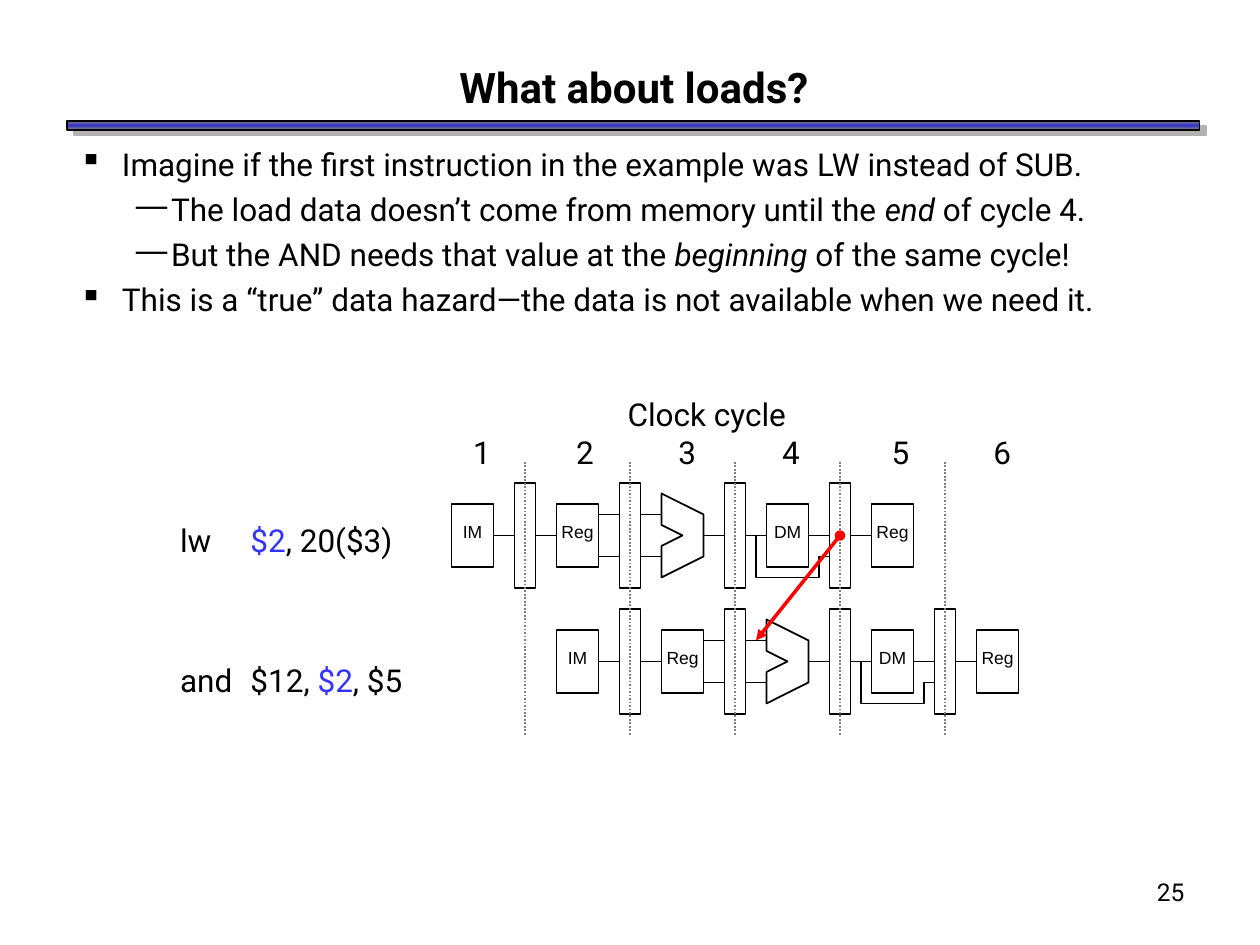
"""Build a slide on the load data hazard with a two-row pipeline diagram."""
from lxml import etree
from pptx import Presentation
from pptx import util as u
from pptx.dml import color
from pptx.enum import dml, shapes, text
from pptx.oxml import ns

BULLETS = [
    (0, ["Imagine if the first instruction in the example was LW instead of SUB."]),
    (1, ["The load data doesn’t come from memory until the ", ("end", {"italic": True}), " of cycle 4."]),
    (1, ["But the AND needs that value at the ", ("beginning", {"italic": True}), " of the same cycle!"]),
    (0, ["This is a “true” data hazard—the data is not available when we need it."]),
]
LEVELS = [("▪", 0.86, -0.86), ("—", 1.85, -0.71)]
BLUE = {"rgb": "3333FF"}
CODE = [
    (1, ["lw\t", ("$2", BLUE), ", 20($3)"]),
    (3.7, ["and\t$12, ", ("$2", BLUE), ", $5"]),
]
CODE_TABS = [1.42]
CYCLES = ["Clock cycle", "\t1\t2\t3\t4\t5\t6"]
CYCLE_TABS = [1.42, 3.5, 5.56, 7.65, 9.86, 11.91, 13.97, 16.18]

GRID = 2.54 / 12
ROWS = [(43, 51), (53, 63)]
STAGES = [("IM", 0), ("Reg", 10), ("DM", 30), ("Reg", 40)]
LATCHES = [6, 16, 26, 36]
WIRES = [(4, 0), (8, 0), (14, -2), (14, 2), (18, -2), (18, 2), (24, 0), (28, 0), (34, 0), (38, 0)]
ALU = [(20, -4), (24, -2), (24, 2), (20, 4), (20, 1), (22, 0), (20, -1)]
BYPASS = [(29, 0), (29, 4), (35, 4), (35, 2), (36, 2)]
DIVIDERS = [50, 60, 70, 80, 90]
HAZARD = [(80, 51), (72, 61)]


def rgb(value):
    return color.RGBColor.from_string(value)


def grid(*values):
    return [u.Cm(v * GRID) for v in values]


def add(parent, tag, **attrs):
    child = etree.SubElement(parent, ns.qn(tag))
    for name, value in attrs.items():
        child.set(name, str(value))
    return child


def write(p, runs, size=18, font="Roboto", rgb_text="000000", bold=False, align="LEFT"):
    p.alignment = getattr(text.PP_ALIGN, align)
    for run in runs:
        content, style = (run, {}) if isinstance(run, str) else run
        r = p.add_run()
        r.text = content
        r.font.size, r.font.name, r.font.bold = u.Pt(size), font, bold
        r.font.italic = style.get("italic", False)
        r.font.color.rgb = rgb(style.get("rgb", rgb_text))


def textbox(s, x, y, w, h, anchor="TOP"):
    tf = s.shapes.add_textbox(*map(u.Cm, (x, y, w, h))).text_frame
    tf.word_wrap = True
    tf.vertical_anchor = getattr(text.MSO_ANCHOR, anchor)
    return tf


def paragraphs(tf, items):
    for i, item in enumerate(items):
        yield (tf.add_paragraph() if i else tf.paragraphs[0]), item


def set_tabs(p, stops):
    tabs = add(p._p.get_or_add_pPr(), "a:tabLst")
    for stop in stops:
        add(tabs, "a:tab", pos=u.Cm(stop), algn="l")


def outline(sp):
    sp.shadow.inherit = False
    sp.fill.background()
    sp.line.color.rgb, sp.line.width = rgb("000000"), u.Pt(1)
    return sp


def box(parent, x, y, w, h):
    return outline(parent.add_shape(shapes.MSO_SHAPE.RECTANGLE, *grid(x, y, w, h)))


def line(parent, start, end, hex_color="000000", width=1):
    c = parent.add_connector(shapes.MSO_CONNECTOR.STRAIGHT, *grid(*start, *end))
    c.line.color.rgb, c.line.width = rgb(hex_color), u.Pt(width)
    add(c._element.spPr, "a:effectLst")
    return c


def outline_path(parent, points, x, y, close):
    pts = [grid(x + dx, y + dy) for dx, dy in points]
    builder = parent.build_freeform(*pts[0])
    builder.add_line_segments(pts[1:], close=close)
    outline(builder.convert_to_shape())


def pipeline(s, x, y):
    parent = s.shapes.add_group_shape().shapes
    outline_path(parent, ALU, x, y, True)
    outline_path(parent, BYPASS, x, y, False)
    for dx in LATCHES:
        box(parent, x + dx, y - 5, 2, 10)
    for dx, dy in WIRES:
        line(parent, (x + dx, y + dy), (x + dx + 2, y + dy))
    for name, dx in STAGES:
        tf = box(parent, x + dx, y - 3, 4, 6).text_frame
        tf.margin_left = tf.margin_right = tf.margin_top = 0
        tf.margin_bottom = u.Cm(0.15)
        tf.word_wrap = False
        tf.vertical_anchor = text.MSO_ANCHOR.MIDDLE
        write(tf.paragraphs[0], [name], size=10, font="Arial", align="CENTER")


def title_bar(s):
    sp = s.shapes.add_shape(shapes.MSO_SHAPE.RECTANGLE, *map(u.Cm, (1.35, 2.44, 22.83, 0.18)))
    outline(sp)
    sp.fill.gradient()
    sp.fill.gradient_angle = 90
    stops = sp._element.spPr.find(ns.qn("a:gradFill")).find(ns.qn("a:gsLst"))
    for stop in list(stops):
        stops.remove(stop)
    for pos, value in [(0, "808080"), (50000, "3333CC"), (100000, "808080")]:
        add(add(stops, "a:gs", pos=pos), "a:srgbClr", val=value)
    effects = sp._element.spPr.find(ns.qn("a:effectLst"))
    shadow = add(effects, "a:outerShdw", blurRad=0, dist=u.Pt(5), dir=37 * 60000, algn="ctr", rotWithShape=0)
    add(shadow, "a:srgbClr", val="B2B2B2")


def main():
    prs = Presentation()
    prs.slide_width, prs.slide_height = u.Cm(25.4), u.Cm(19.05)
    s = prs.slides.add_slide(prs.slide_layouts[6])

    title_bar(s)
    write(textbox(s, 18.85, 17.55, 5.28, 1.27).paragraphs[0], ["25"], size=14, align="RIGHT")
    tf = textbox(s, 1.35, 1.12, 22.86, 1.27, "MIDDLE")
    write(tf.paragraphs[0], ["What about loads?"], size=24, bold=True, align="CENTER")

    tf = textbox(s, 1.35, 2.79, 22.78, 14.58)
    for p, (level, runs) in paragraphs(tf, BULLETS):
        char, margin, indent = LEVELS[level]
        p.level = level
        pPr = p._p.get_or_add_pPr()
        pPr.set("marL", str(u.Cm(margin)))
        pPr.set("indent", str(u.Cm(indent)))
        add(pPr, "a:buChar", char=char)
        if p._p is not tf.paragraphs[0]._p:
            p.space_before = u.Pt(4.2)
        write(p, runs)

    for x, y in ROWS:
        pipeline(s, x, y)

    for p, (spacing, runs) in paragraphs(textbox(s, 3.38, 10.36, 5.33, 3.86, "MIDDLE"), CODE):
        set_tabs(p, CODE_TABS)
        p.line_spacing = spacing
        write(p, runs)

    for x in DIVIDERS:
        line(s.shapes, (x, 44), (x, 70), "808080").line.dash_style = dml.MSO_LINE.ROUND_DOT
    ln = line(s.shapes, *HAZARD, "FF0000", 2).line._get_or_add_ln()
    add(ln, "a:headEnd", type="oval")
    add(ln, "a:tailEnd", type="triangle")

    for p, label in paragraphs(textbox(s, 7.72, 7.82, 13.06, 1.8, "MIDDLE"), CYCLES):
        set_tabs(p, CYCLE_TABS)
        write(p, [label], align="CENTER")

    prs.save("out.pptx")


if __name__ == "__main__":
    main()
